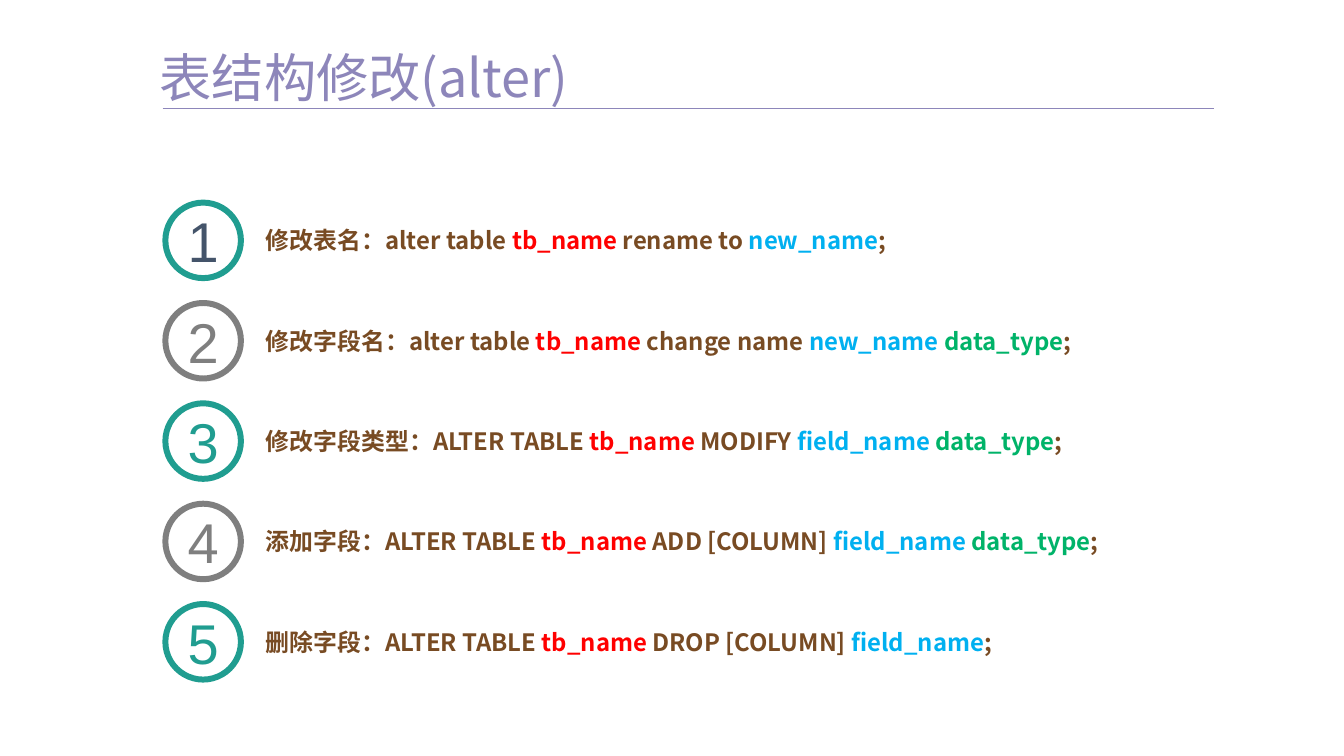
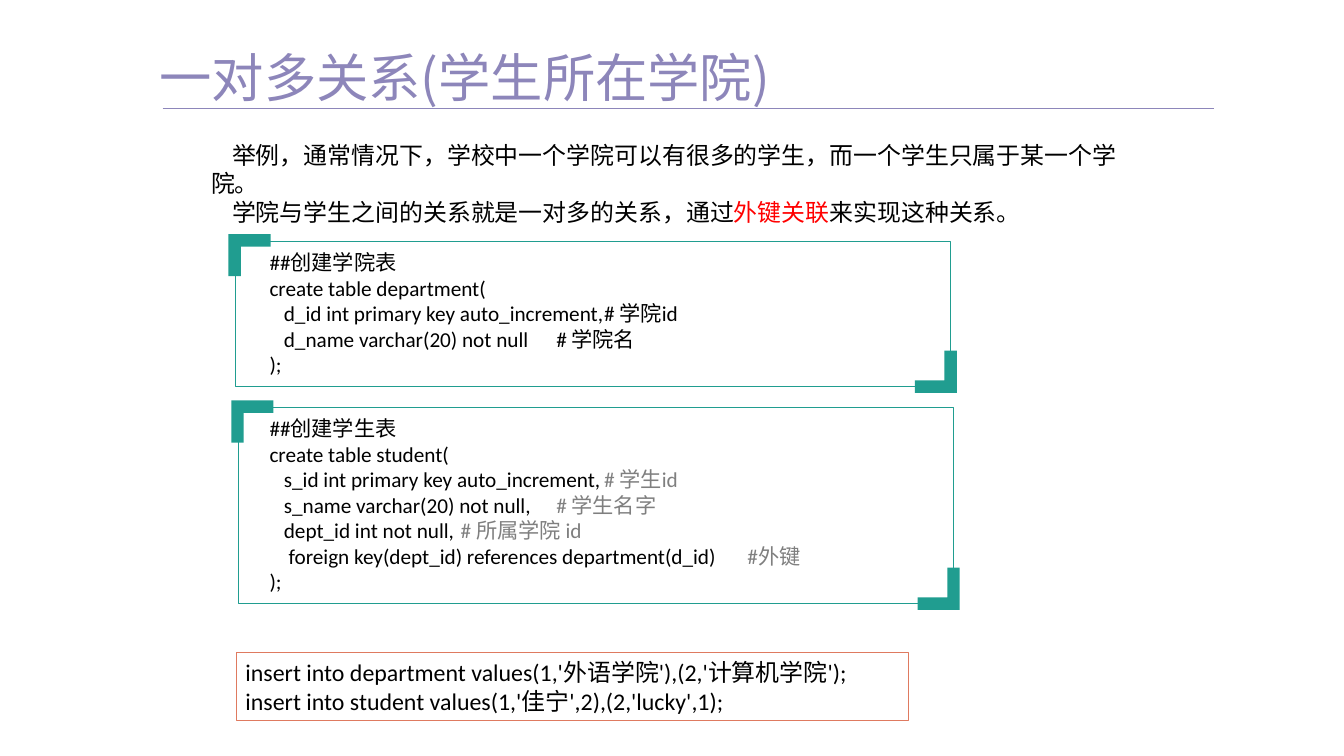
from lxml.etree import SubElement
from pptx import Presentation
from pptx.dml.color import RGBColor
from pptx.enum.shapes import MSO_CONNECTOR, MSO_SHAPE
from pptx.enum.text import MSO_ANCHOR, PP_ALIGN
from pptx.oxml import parse_xml
from pptx.oxml.ns import nsdecls, qn
from pptx.util import Inches, Pt

WIDTH, HEIGHT = 14.06, 7.91
PURPLE, TEAL, GRAY, SLATE, ORANGE = "8D86BA", "209D90", "7F7F7F", "44546A", "DF7A60"
BROWN, RED, BLUE, GREEN = "784B23", "FF0000", "00B0F0", "00B369"
BLACK, WHITE = "000000", "FFFFFF"
SANS, BODY, NUMERAL = "Noto Sans CJK SC", "Calibri", "Arial"

# A line of text is a list of runs: plain strings, or (string, colour).
TABLE, TYPE = ("tb_name ", RED), ("data_type", GREEN)
ALTER_TITLE = "表结构修改(alter)"
ALTER_ROWS = [
    (TEAL, SLATE, ["修改表名：alter table ", TABLE, "rename to ", ("new_name", BLUE), ";"]),
    (GRAY, GRAY, ["修改字段名：alter table ", TABLE, "change name ", ("new_name ", BLUE), TYPE, ";"]),
    (TEAL, TEAL, ["修改字段类型：ALTER TABLE ", TABLE, "MODIFY ", ("field_name ", BLUE), TYPE, ";"]),
    (GRAY, GRAY, ["添加字段：ALTER TABLE ", TABLE, "ADD [COLUMN] ", ("field_name ", BLUE), TYPE, ";"]),
    (TEAL, TEAL, ["删除字段：ALTER TABLE ", TABLE, "DROP [COLUMN] ", ("field_name", BLUE), ";"]),
]

RELATION_TITLE = "一对多关系(学生所在学院)"
RELATION_INTRO = [
    ["举例，通常情况下，学校中一个学院可以有很多的学生，而一个学生只属于某一个学院。"],
    ["学院与学生之间的关系就是一对多的关系，通过", ("外键关联", RED), "来实现这种关系。"],
]
# Code lines: (first-line indent, comment column, code, comment)
COLUMN, KEY = (0.15, 3.78), (0.2, 4.82)
CODE_BLOCKS = [
    (2.46, 2.52, 1.52, BLACK, [
        (0, 0, "##创建学院表", ""),
        (0, 0, "create table department(", ""),
        (*COLUMN, "d_id int primary key auto_increment,", "# 学院id"),
        (*COLUMN, "d_name varchar(20) not null", "# 学院名"),
        (0, 0, ");", ""),
    ]),
    (2.49, 4.26, 2.05, GRAY, [
        (0, 0, "##创建学生表", ""),
        (0, 0, "create table student(", ""),
        (*COLUMN, "s_id int primary key auto_increment,", "# 学生id"),
        (*COLUMN, "s_name varchar(20) not null,", "# 学生名字"),
        (*COLUMN, "dept_id int not null,", "# 所属学院 id"),
        (*KEY, "foreign key(dept_id) references department(d_id)", "#外键"),
        (0, 0, ");", ""),
    ]),
]
INSERTS = [
    ["insert into department values(1,'外语学院'),(2,'计算机学院');"],
    ["insert into student values(1,'佳宁',2),(2,'lucky',1);"],
]


def color(value):
    return RGBColor.from_string(value)


def write(shape, lines, size, font=BODY, ink=BLACK, bold=False, align=PP_ALIGN.LEFT,
          anchor=MSO_ANCHOR.TOP, margins=(0, 0)):
    """Fill a shape with lines of runs and return its paragraphs."""
    frame = shape.text_frame
    frame.word_wrap, frame.vertical_anchor = True, anchor
    frame.margin_left = frame.margin_right = Inches(margins[0])
    frame.margin_top = frame.margin_bottom = Inches(margins[1])
    for index, line in enumerate(lines):
        paragraph = frame.add_paragraph() if index else frame.paragraphs[0]
        paragraph.alignment = align
        paragraph.font.name, paragraph.font.size = font, Pt(size)
        paragraph.font.bold = bold
        paragraph.font.color.rgb = color(ink)
        for part in line:
            text, run_ink = (part, ink) if isinstance(part, str) else part
            run = paragraph.add_run()
            run.text = text
            run.font.color.rgb = color(run_ink)
    return frame.paragraphs


def indent(paragraph, first_line, tab=0):
    """Indent the first line and, if given, set one tab stop (inches)."""
    properties = paragraph._p.get_or_add_pPr()
    properties.set("marL", "0")
    properties.set("indent", str(Inches(first_line)))
    if tab:
        tabs = parse_xml(f"<a:tabLst {nsdecls('a')}/>")
        SubElement(tabs, qn("a:tab"), pos=str(Inches(tab)), algn="l")
        properties.insert(0, tabs)


def add_text(slide, box, lines, size, **style):
    return write(slide.shapes.add_textbox(*map(Inches, box)), lines, size, **style)


def paint(shape, fill=None, line=None, weight=0):
    shape.shadow.inherit = False
    if fill:
        shape.fill.solid()
        shape.fill.fore_color.rgb = color(fill)
    else:
        shape.fill.background()
    if line:
        shape.line.color.rgb = color(line)
        shape.line.width = Pt(weight)
    else:
        shape.line.fill.background()
    return shape


def add_shape(slide, kind, box, **look):
    return paint(slide.shapes.add_shape(kind, *map(Inches, box)), **look)


def add_titled_slide(presentation, title):
    slide = presentation.slides.add_slide(presentation.slide_layouts[6])
    add_text(slide, (1.67, 0.47, 11, 0.66), [[title]], 39.4, font=SANS, ink=PURPLE)
    rule = slide.shapes.add_connector(
        MSO_CONNECTOR.STRAIGHT, *map(Inches, (1.7, 1.13, 12.7, 1.13)))
    rule.line.color.rgb = color(PURPLE)
    rule.line.width = Pt(0.5)
    SubElement(rule._element.spPr, qn("a:effectLst"))
    return slide


def add_corner(slide, x, y, direction):
    """Draw an L bracket from its outer corner; direction -1 turns it half round."""
    arm, thick = 0.44, 0.13
    outline = [(0, 0), (arm, 0), (arm, thick), (thick, thick), (thick, arm), (0, arm)]
    points = [(Inches(x + direction * dx), Inches(y + direction * dy)) for dx, dy in outline]
    builder = slide.shapes.build_freeform(*points[0])
    builder.add_line_segments(points[1:], close=True)
    paint(builder.convert_to_shape(), fill=TEAL)


def add_code_block(slide, left, top, height, comment_ink, code):
    width, overhang = 7.48, 0.07
    add_shape(slide, MSO_SHAPE.RECTANGLE, (left, top, width, height), line=TEAL, weight=0.25)
    lines = [[text] + ([("\t" + comment, comment_ink)] if comment else [])
             for _, _, text, comment in code]
    paragraphs = add_text(slide, (2.82, top + 0.09, 7.04, height - 0.17), lines, 16)
    for paragraph, (first_line, tab, _, _) in zip(paragraphs, code):
        indent(paragraph, first_line, tab)
    add_corner(slide, left - overhang, top - overhang, 1)
    add_corner(slide, left + width + overhang, top + height + overhang, -1)


def build_alter_slide(presentation):
    slide = add_titled_slide(presentation, ALTER_TITLE)
    first_top, pitch, diameter, text_height = 2.12, 1.05, 0.79, 0.3
    for index, (ring, ink, statement) in enumerate(ALTER_ROWS):
        top = first_top + index * pitch
        circle = add_shape(slide, MSO_SHAPE.OVAL, (1.73, top, diameter, diameter),
                           fill=WHITE, line=ring, weight=4.5)
        write(circle, [[str(index + 1)]], 42.2, font=NUMERAL, ink=ink,
              align=PP_ALIGN.CENTER, anchor=MSO_ANCHOR.MIDDLE)
        add_text(slide, (2.78, top + (diameter - text_height) / 2, 9.79, text_height),
                 [statement], 18, font=SANS, ink=BROWN, bold=True, anchor=MSO_ANCHOR.MIDDLE)


def build_relation_slide(presentation):
    slide = add_titled_slide(presentation, RELATION_TITLE)
    for paragraph in add_text(slide, (2.11, 1.42, 9.84, 1.01), RELATION_INTRO, 18,
                              margins=(0.1, 0.05)):
        indent(paragraph, 0.22)
    for block in CODE_BLOCKS:
        add_code_block(slide, *block)
    box = add_shape(slide, MSO_SHAPE.RECTANGLE, (2.47, 6.83, 7.03, 0.71),
                    line=ORANGE, weight=0.75)
    write(box, INSERTS, 18, margins=(0.1, 0.05))


def main():
    presentation = Presentation()
    presentation.slide_width, presentation.slide_height = Inches(WIDTH), Inches(HEIGHT)
    build_alter_slide(presentation)
    build_relation_slide(presentation)
    presentation.save("out.pptx")


if __name__ == "__main__":
    main()
